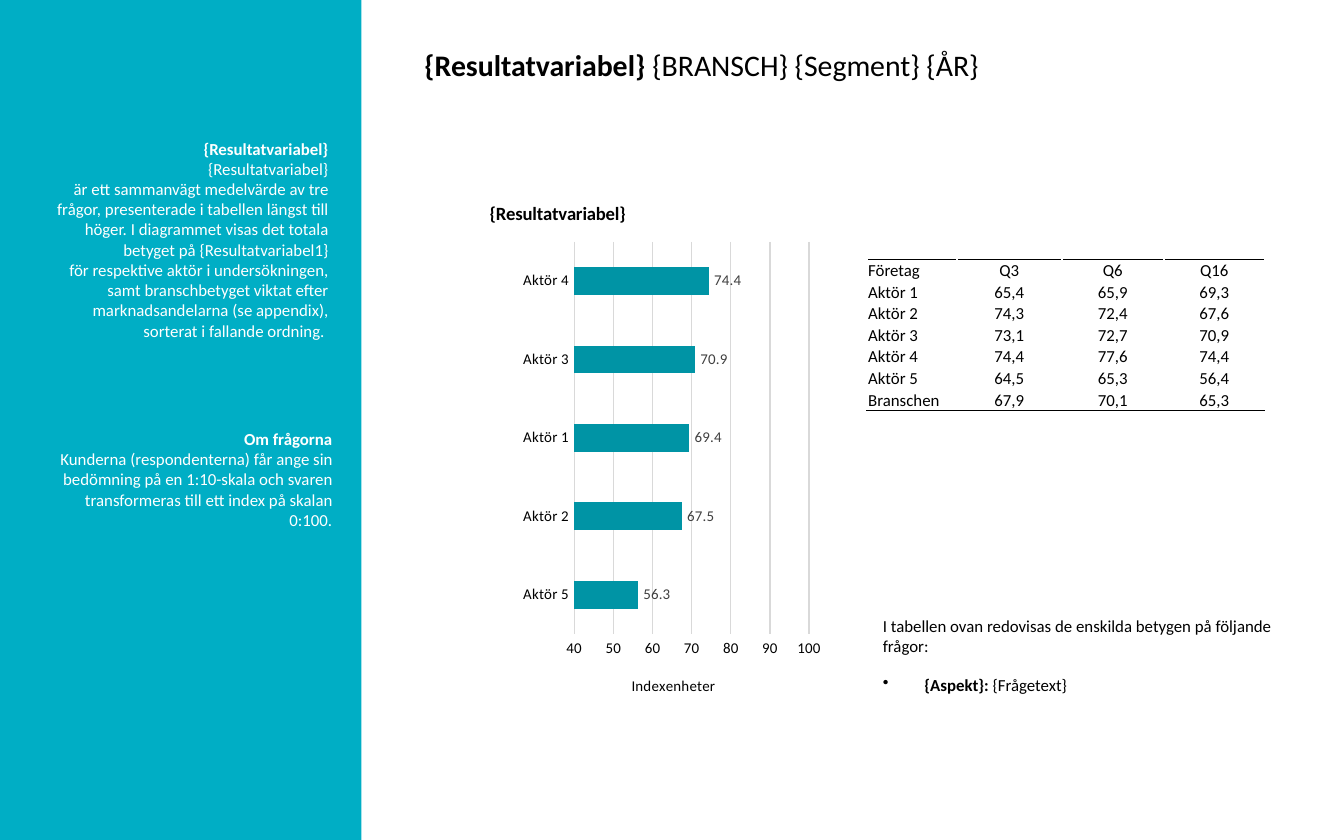
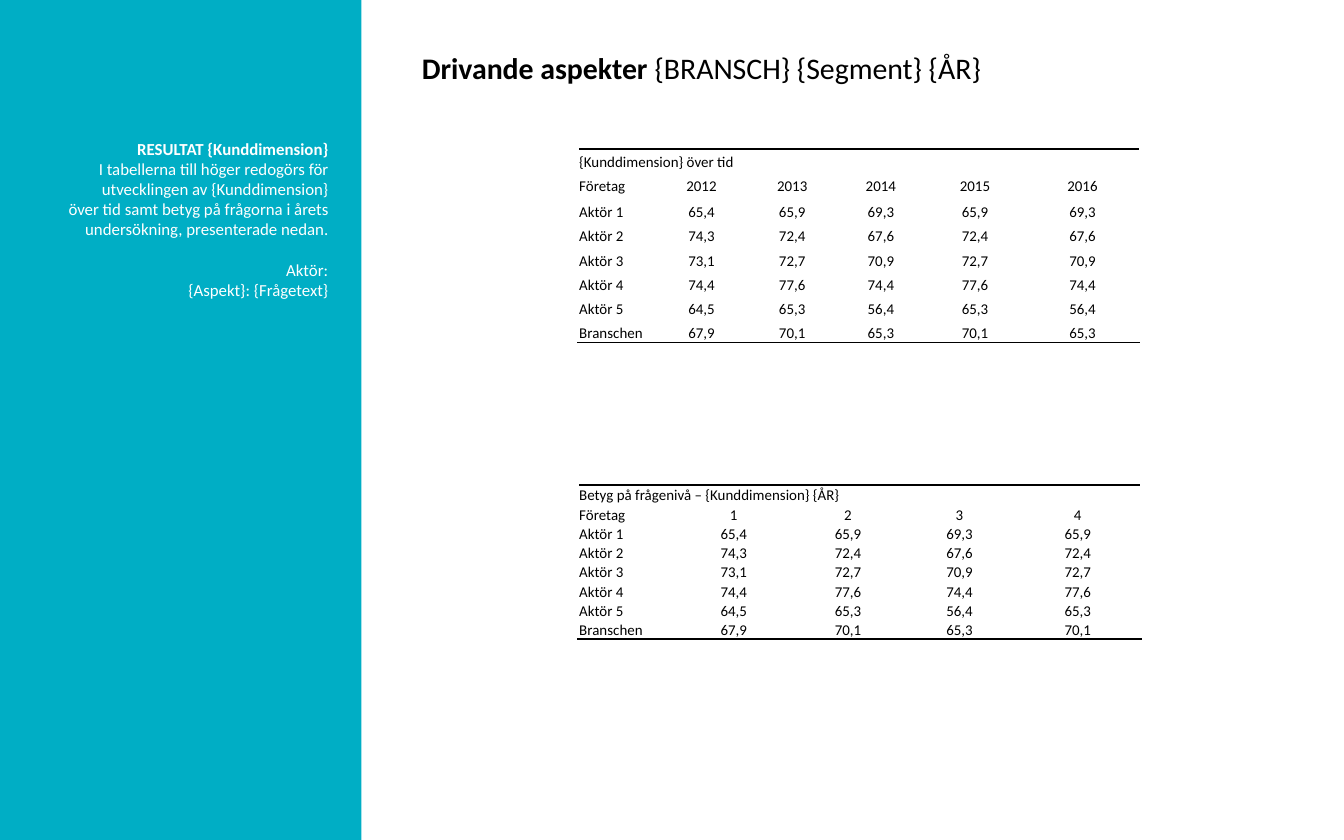
from dataclasses import dataclass
from typing import Any, Optional

import pptx
import pptx.chart.data
import pptx.dml.color
import pptx.enum.chart
import pptx.enum.shapes
import pptx.enum.text
import pptx.oxml
import pptx.oxml.ns
import pptx.util
from pptx.util import Inches

COLORS = {
    "black": "000000",
    "white": "FFFFFF",
    "band": "00AEC5",
    "bar": "0094A5",
    "grid": "D9D9D9",
    "label": "404040",
}
FONT = "Calibri"
ALIGN = pptx.enum.text.PP_ALIGN
ANCHOR = pptx.enum.text.MSO_ANCHOR

RATINGS = {
    "Aktör 1": ("65,4", "65,9", "69,3"),
    "Aktör 2": ("74,3", "72,4", "67,6"),
    "Aktör 3": ("73,1", "72,7", "70,9"),
    "Aktör 4": ("74,4", "77,6", "74,4"),
    "Aktör 5": ("64,5", "65,3", "56,4"),
    "Branschen": ("67,9", "70,1", "65,3"),
}
INDEX_SCORES = {
    "Aktör 5": 56.3,
    "Aktör 2": 67.5,
    "Aktör 1": 69.4,
    "Aktör 3": 70.9,
    "Aktör 4": 74.4,
}


@dataclass
class Area:
    left: float
    top: float
    width: float
    height: float

    def lengths(self) -> list:
        return [Inches(n) for n in (self.left, self.top, self.width, self.height)]


@dataclass
class Span:
    text: str
    bold: bool = False


@dataclass
class Para:
    spans: list[Span]
    space_before: float = 0
    bullet: bool = False


@dataclass
class TextBlock:
    area: Area
    paras: list[Para]
    size: float = 9
    color: str = "black"
    align: Any = ALIGN.LEFT
    anchor: Any = ANCHOR.TOP


@dataclass
class RatingTable:
    area: Area
    columns: list[float]
    headings: list[str]
    row_height: float
    size: float
    caption: Optional[str] = None


def rgb(name: str) -> Any:
    return pptx.dml.color.RGBColor.from_string(COLORS[name])


def apply(target: Any, **values: Any) -> None:
    for name, value in values.items():
        setattr(target, name, value)


def style_font(font: Any, size: float, color: str = "black", bold: bool = False) -> None:
    apply(font, name=FONT, size=pptx.util.Pt(size), bold=bold)
    font.color.rgb = rgb(color)


def add_bullet(para: Any) -> None:
    properties = para._p.get_or_add_pPr()
    properties.set("marL", str(Inches(0.31)))
    properties.set("indent", str(-Inches(0.31)))
    mark = pptx.oxml.ns.qn("a:buChar")
    properties.append(properties.makeelement(mark, {"char": "•"}))


def add_text(page: Any, block: TextBlock) -> None:
    frame = page.shapes.add_textbox(*block.area.lengths()).text_frame
    apply(frame, word_wrap=True, vertical_anchor=block.anchor)
    for position, content in enumerate(block.paras):
        para = frame.add_paragraph() if position else frame.paragraphs[0]
        para.alignment = block.align
        if content.space_before:
            para.space_before = pptx.util.Pt(content.space_before)
        if content.bullet:
            add_bullet(para)
        for piece in content.spans:
            span = para.add_run()
            span.text = piece.text
            style_font(span.font, block.size, block.color, piece.bold)


def add_sidebar_text(page: Any, area: Area, heading: str, paras: list[Para]) -> None:
    content = [Para([Span(heading, True)]), *paras]
    add_text(page, TextBlock(area, content, color="white", align=ALIGN.RIGHT))


def add_page(deck: Any, heading: str, left: float, top: float) -> Any:
    page = deck.slides.add_slide(deck.slide_layouts[6])
    band = page.shapes.add_shape(
        pptx.enum.shapes.MSO_SHAPE.RECTANGLE, *Area(-0.02, 0, 2.71, 6.25).lengths()
    )
    band.shadow.inherit = False
    band.fill.solid()
    band.fill.fore_color.rgb = rgb("band")
    band.line.fill.background()
    title = Para([Span(heading + " ", True), Span("{BRANSCH} {Segment} {ÅR}")])
    add_text(page, TextBlock(Area(left, top, 5.51, 0.72), [title], 16, anchor=ANCHOR.MIDDLE))
    return page


def add_border(cell: Any, side: str) -> None:
    namespace = pptx.oxml.ns.nsdecls("a")
    cell._tc.get_or_add_tcPr().append(pptx.oxml.parse_xml(
        f'<a:{side} {namespace} w="12700"><a:solidFill>'
        f'<a:srgbClr val="{COLORS["black"]}"/></a:solidFill></a:{side}>'
    ))


def add_rating_table(page: Any, content: RatingTable) -> None:
    picks = [0, 1, 2, 1, 2][:len(content.headings)]
    rows = [[content.caption]] if content.caption else []
    rows.append(["Företag", *content.headings])
    body_start = len(rows)
    rows += [[name, *(scores[pick] for pick in picks)] for name, scores in RATINGS.items()]
    last_column = len(content.columns) - 1
    table = page.shapes.add_table(
        len(rows), len(content.columns), *content.area.lengths()
    ).table
    apply(table, first_row=False, horz_banding=False)
    for column, width in zip(table.columns, content.columns):
        column.width = Inches(width)
    for row in table.rows:
        row.height = Inches(content.row_height)
    for column in range(len(content.columns)):
        add_border(table.cell(0, column), "lnT")
        add_border(table.cell(len(rows) - 1, column), "lnB")
    if content.caption:
        table.cell(0, 0).merge(table.cell(0, last_column))
    for cell in table.iter_cells():
        cell.fill.background()
        apply(cell, margin_left=Inches(0.01), margin_right=Inches(0.01),
              margin_top=Inches(0.01), margin_bottom=0)
    for row_number, values in enumerate(rows):
        for column, value in enumerate(values):
            cell = table.cell(row_number, column)
            cell.vertical_anchor = ANCHOR.MIDDLE if row_number < body_start else ANCHOR.BOTTOM
            para = cell.text_frame.paragraphs[0]
            para.alignment = ALIGN.CENTER if column else ALIGN.LEFT
            span = para.add_run()
            span.text = value
            style_font(span.font, content.size)


def set_layout(parent: Any, **places: Any) -> None:
    qn = pptx.oxml.ns.qn
    layout = parent.find(qn("c:layout"))
    if layout is None:
        layout = parent.makeelement(qn("c:layout"), {})
        parent.insert(0 if parent.find(qn("c:tx")) is None else 1, layout)
    manual = layout.makeelement(qn("c:manualLayout"), {})
    layout.append(manual)
    for name, value in places.items():
        manual.append(manual.makeelement(qn(f"c:{name}"), {"val": str(value)}))


def set_chart_title(title: Any, text: str, size: float, bold: bool, x: float, y: float) -> None:
    para = title.text_frame.paragraphs[0]
    span = para.add_run()
    span.text = text
    style_font(span.font, size, bold=bold)
    set_layout(title._element, xMode="edge", yMode="edge", x=x, y=y)


def style_grid_line(line: Any) -> None:
    line.color.rgb = rgb("grid")
    line.width = pptx.util.Pt(0.75)


def add_index_chart(page: Any, area: Area) -> None:
    kinds = pptx.enum.chart
    data = pptx.chart.data.CategoryChartData()
    data.categories = list(INDEX_SCORES)
    data.add_series("Series 1", list(INDEX_SCORES.values()))
    chart = page.shapes.add_chart(
        kinds.XL_CHART_TYPE.BAR_CLUSTERED, *area.lengths(), data
    ).chart
    chart.has_legend = False
    style_font(chart.font, 10)
    chart.has_title = True
    set_chart_title(chart.chart_title, "{Resultatvariabel}", 10, True, 0.15, 0.01)
    set_layout(chart._chartSpace.chart.plotArea, layoutTarget="inner",
               xMode="edge", yMode="edge", x=0.36, y=0.09, w=0.56, h=0.71)

    for axis in (chart.category_axis, chart.value_axis):
        apply(axis, major_tick_mark=kinds.XL_TICK_MARK.NONE,
              minor_tick_mark=kinds.XL_TICK_MARK.NONE)
        style_font(axis.tick_labels.font, 8)
    chart.category_axis.has_major_gridlines = False
    style_grid_line(chart.category_axis.format.line)
    values = chart.value_axis
    apply(values, minimum_scale=40, maximum_scale=100, major_unit=10,
          has_major_gridlines=True, has_title=True)
    apply(values.tick_labels, number_format="0", number_format_is_linked=False)
    values.format.line.fill.background()
    style_grid_line(values.major_gridlines.format.line)
    set_chart_title(values.axis_title, "Indexenheter", 8, False, 0.49, 0.87)

    plot = chart.plots[0]
    apply(plot, gap_width=182, vary_by_categories=False, has_data_labels=True)
    apply(plot.data_labels, show_value=True, number_format="0.0",
          number_format_is_linked=False, position=kinds.XL_LABEL_POSITION.OUTSIDE_END)
    style_font(plot.data_labels.font, 8, "label")
    fill = plot.series[0].format.fill
    fill.solid()
    fill.fore_color.rgb = rgb("bar")


def build_result_page(deck: Any) -> None:
    page = add_page(deck, "{Resultatvariabel}", 3.06, 0.12)
    add_index_chart(page, Area(3.15, 1.43, 3.12, 4.11))
    add_rating_table(page, RatingTable(
        Area(6.45, 1.93, 2.96, 1.12), [0.67, 0.78, 0.76, 0.75], ["Q3", "Q6", "Q16"], 0.16, 9
    ))
    add_text(page, TextBlock(Area(6.47, 4.53, 3.28, 0.4), [
        Para([Span("I tabellen ovan redovisas de enskilda betygen på följande frågor:")]),
    ]))
    add_text(page, TextBlock(Area(6.47, 4.97, 3.53, 0.25), [
        Para([Span("{Aspekt}: ", True), Span("{Frågetext}")], bullet=True),
    ]))
    add_sidebar_text(page, Area(0.16, 0.98, 2.38, 1.92), "{Resultatvariabel}", [
        Para([Span("{Resultatvariabel}")]),
        Para([Span("är ett sammanvägt medelvärde av tre frågor, presenterade i tabellen "
                   "längst till höger. I diagrammet visas det totala betyget på "
                   "{Resultatvariabel1}")]),
        Para([Span("för respektive aktör i undersökningen, samt branschbetyget viktat efter "
                   "marknadsandelarna (se appendix), sorterat i fallande ordning. ")]),
    ])
    add_sidebar_text(page, Area(0.19, 3.14, 2.38, 1.16), "Om frågorna", [
        Para([Span("Kunderna (respondenterna) får ange sin bedömning på en 1:10-skala och "
                   "svaren transformeras till ett index på skalan 0:100.")]),
    ])


def build_aspect_page(deck: Any) -> None:
    page = add_page(deck, "Drivande aspekter", 3.04, 0.14)
    add_rating_table(page, RatingTable(
        Area(4.3, 1.11, 4.18, 1.42), [0.58, 0.68, 0.67, 0.65, 0.75, 0.85],
        [str(year) for year in range(2012, 2017)], 0.18, 8, "{Kunddimension} över tid",
    ))
    add_rating_table(page, RatingTable(
        Area(4.3, 3.61, 4.19, 1.15), [0.73, 0.86, 0.84, 0.82, 0.94],
        [str(number) for number in range(1, 5)], 0.14, 8,
        "Betyg på frågenivå – {Kunddimension} {ÅR}",
    ))
    add_sidebar_text(page, Area(0.16, 0.98, 2.38, 1.31), "RESULTAT {Kunddimension}", [
        Para([Span("I tabellerna till höger redogörs för utvecklingen av {Kunddimension}")]),
        Para([Span("över tid samt betyg på frågorna i årets undersökning, presenterade nedan.")]),
        Para([Span("Aktör:")], space_before=11),
        Para([Span("{Aspekt}: {Frågetext}")]),
    ])


def main() -> None:
    deck = pptx.Presentation()
    apply(deck, slide_width=Inches(10), slide_height=Inches(6.25))
    build_result_page(deck)
    build_aspect_page(deck)
    deck.save("out.pptx")


if __name__ == "__main__":
    main()
